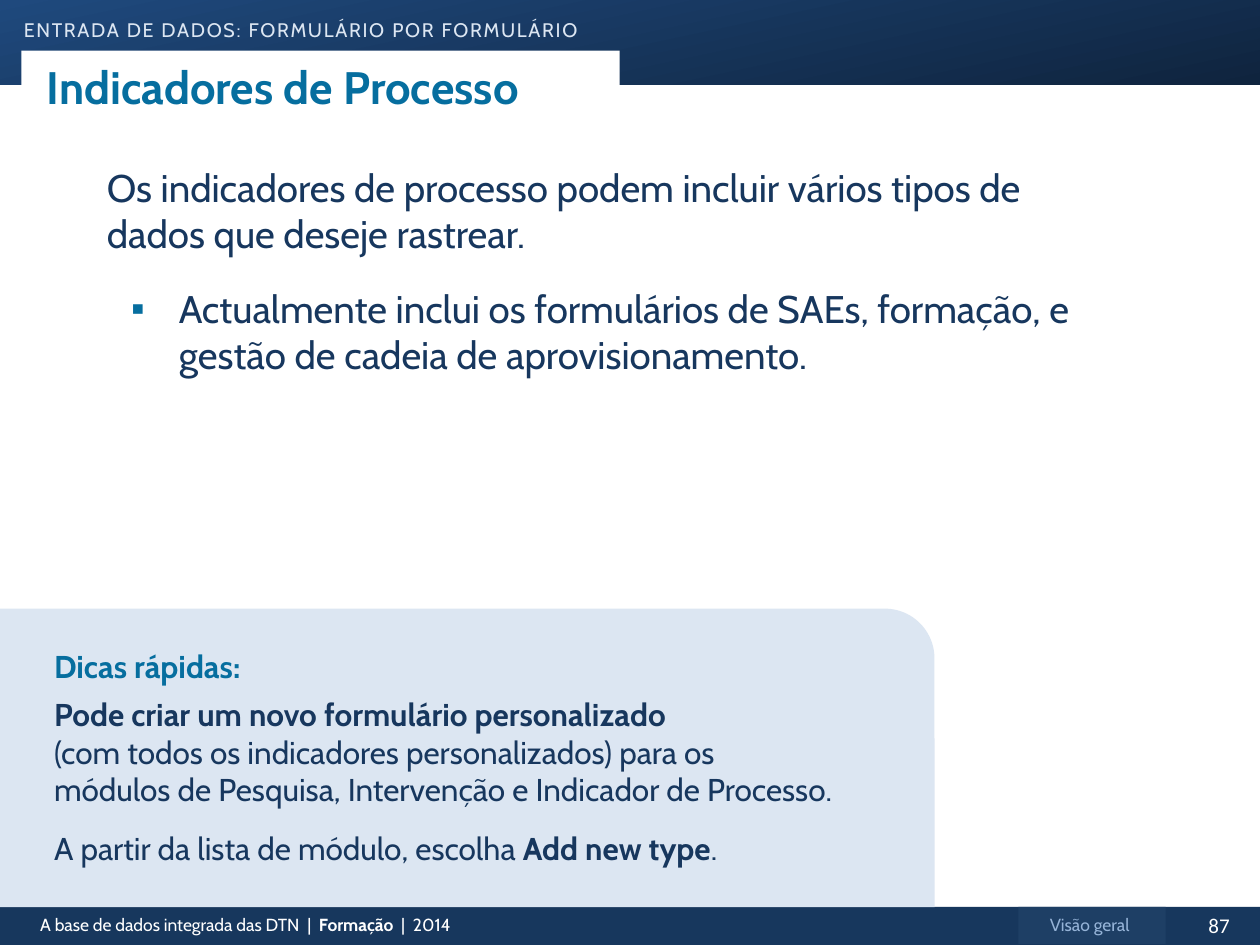
from dataclasses import dataclass

from lxml import etree
from pptx import Presentation
from pptx.dml.color import RGBColor
from pptx.enum.shapes import MSO_SHAPE
from pptx.enum.text import MSO_ANCHOR, MSO_AUTO_SIZE, PP_ALIGN
from pptx.oxml.ns import qn
from pptx.util import Cm, Pt

RECT, ROUND = MSO_SHAPE.RECTANGLE, MSO_SHAPE.ROUND_1_RECTANGLE
LEFT, MID = PP_ALIGN.LEFT, PP_ALIGN.CENTER
TOP, CENTRE = MSO_ANCHOR.TOP, MSO_ANCHOR.MIDDLE
FIXED = MSO_AUTO_SIZE.NONE
WIDE, HIGH = 25.4, 19.05


@dataclass(frozen=True)
class Theme:
    font: str = "Cabin"
    digit: str = "Calibri"
    navy: str = "17375E"
    bar: str = "17375D"
    tab: str = "1E3F65"
    light: str = "1F497D"
    dark: str = "0F243E"
    teal: str = "066E9F"
    pale: str = "DCE6F2"
    soft: str = "95B3D7"
    white: str = "FFFFFF"
    head: int = 26
    body: int = 22
    tip: int = 18
    label: int = 14
    page: int = 12
    foot: int = 10


T = Theme()


def paint(fill, tone):
    fill.solid()
    fill.fore_color.rgb = RGBColor.from_string(tone)


def place(part, box):
    part.left, part.top, part.width, part.height = map(Cm, box)


def block(slide, box, tone, kind=RECT):
    part = slide.shapes.add_shape(kind, *map(Cm, box))
    part.shadow.inherit = False
    part.line.fill.background()
    paint(part.fill, tone)
    return part


def setup(frame, **form):
    base = {"word_wrap": True, "auto_size": FIXED, "vertical_anchor": TOP}
    for name, value in {**base, **form}.items():
        setattr(frame, name, value)
    return frame


def style(run, size, tone, bold=False, face=T.font):
    form = {"name": face, "size": Pt(size), "bold": bold}
    for name, value in form.items():
        setattr(run.font, name, value)
    run.font.color.rgb = RGBColor.from_string(tone)


def write(par, runs, size, tone, face=T.font, **form):
    """Fill a paragraph with (text, bold) runs; a newline breaks the line."""
    for name, value in form.items():
        setattr(par, name, value)
    for text, bold in runs:
        for i, line in enumerate(text.split("\n")):
            if i:
                par.add_line_break()
            if line:
                run = par.add_run()
                run.text = line
                style(run, size, tone, bold, face)


def label(slide, box, runs, size, tone, **form):
    frame = setup(slide.shapes.add_textbox(*map(Cm, box)).text_frame)
    write(frame.paragraphs[0], runs, size, tone, **form)


def bullet(par, sign="", left=0, hang=0):
    props = par._p.get_or_add_pPr()
    props.set("marL", str(Cm(left)))
    props.set("indent", str(-Cm(hang)))
    if not sign:
        etree.SubElement(props, qn("a:buNone"))
        return
    tint = etree.SubElement(props, qn("a:buClr"))
    etree.SubElement(tint, qn("a:srgbClr")).set("val", T.teal)
    etree.SubElement(props, qn("a:buChar")).set("char", sign)


def header(slide, box, title, topic):
    x, y, wide, high = box
    # Gradient band
    fill = block(slide, box, T.light).fill
    fill.gradient()
    fill.gradient_angle = 282
    for stop, tone in zip(fill.gradient_stops, (T.light, T.dark)):
        stop.color.rgb = RGBColor.from_string(tone)
    # Section name in small capitals
    place(topic, (x + 0.48, y + 0.13, 12.22, 0.86))
    frame = setup(topic.text_frame, margin_left=0, margin_right=0)
    par = frame.paragraphs[0]
    write(par, [("entrada de dados: formulário por formulário", False)],
          T.label, T.pale)
    bullet(par)
    props = par.runs[0]._r.get_or_add_rPr()
    props.set("cap", "small")
    props.set("spc", "100")
    # Title on a white tab
    place(title, (x + 0.43, y + 1.02, 12.06, 1.42))
    paint(title.fill, T.white)
    frame = setup(title.text_frame, vertical_anchor=CENTRE,
                  margin_left=Cm(0.51), margin_right=Cm(0.51))
    write(frame.paragraphs[0], [("Indicadores de Processo", True)],
          T.head, T.teal, alignment=LEFT)


def content(box, body):
    place(body, box)
    frame = setup(body.text_frame)
    intro, item = frame.paragraphs[0], frame.add_paragraph()
    write(intro, [("Os indicadores de processo podem incluir vários tipos de "
                   "dados que deseje rastrear.", False)],
          T.body, T.navy, space_after=Pt(12))
    bullet(intro)
    write(item, [("Actualmente inclui os formulários de SAEs, formação, e "
                  "gestão de cadeia de aprovisionamento.", False)],
          T.body, T.navy)
    bullet(item, "▪", 1.45, 0.96)


def tips(slide, box):
    x, y, wide, high = box
    block(slide, box, T.pale, ROUND)
    text = slide.shapes.add_textbox(
        *map(Cm, (x + 0.84, y + 0.64, wide + 0.2, high - 1.27)))
    frame = setup(text.text_frame)
    rows = [
        ([("Dicas rápidas:", True)], T.teal, 6),
        ([("Pode criar um novo formulário personalizado \n", True),
          ("(com todos os indicadores personalizados) para os \n"
           "módulos de Pesquisa, Intervenção e Indicador de Processo.",
           False)], T.navy, 12),
        ([("A partir da lista de módulo, escolha ", False),
          ("Add new type", True), (".", False)], T.navy, 0),
    ]
    for i, (runs, tone, gap) in enumerate(rows):
        par = frame.add_paragraph() if i else frame.paragraphs[0]
        write(par, runs, T.tip, tone, space_after=Pt(gap))


def footer(slide, box):
    x, y, wide, high = box
    block(slide, box, T.bar)
    label(slide, (x + 23.75, y, 1.65, 0.76), [("87", False)],
          T.page, T.white, face=T.digit, alignment=MID)
    label(slide, (x + 0.56, y + 0.03, 11.5, 0.69),
          [("A base de dados integrada das DTN  |  ", False),
           ("Formação  ", True), ("|  2014", False)], T.foot, T.white)
    # Overview tab
    block(slide, (x + 20.53, y, 2.97, high - 0.02), T.tab)
    label(slide, (x + 20.53, y + 0.03, 2.87, 0.69),
          [("Visão geral", False)], T.foot, T.soft, alignment=MID)


def main():
    deck = Presentation()
    deck.slide_width, deck.slide_height = Cm(WIDE), Cm(HIGH)
    slide = deck.slides.add_slide(deck.slide_layouts[3])
    title, body, topic = slide.placeholders
    header(slide, (0, 0, WIDE, 1.7), title, topic)
    footer(slide, (0, 18.28, WIDE, 0.77))
    content((1.9, 3.18, 20.96, 8.05), body)
    # Bring the placeholders in front of the band
    for part in (topic, body, title):
        slide.shapes._spTree.append(part._element)
    tips(slide, (0, 12.27, 18.84, 6.02))
    deck.save("out.pptx")


if __name__ == "__main__":
    main()
